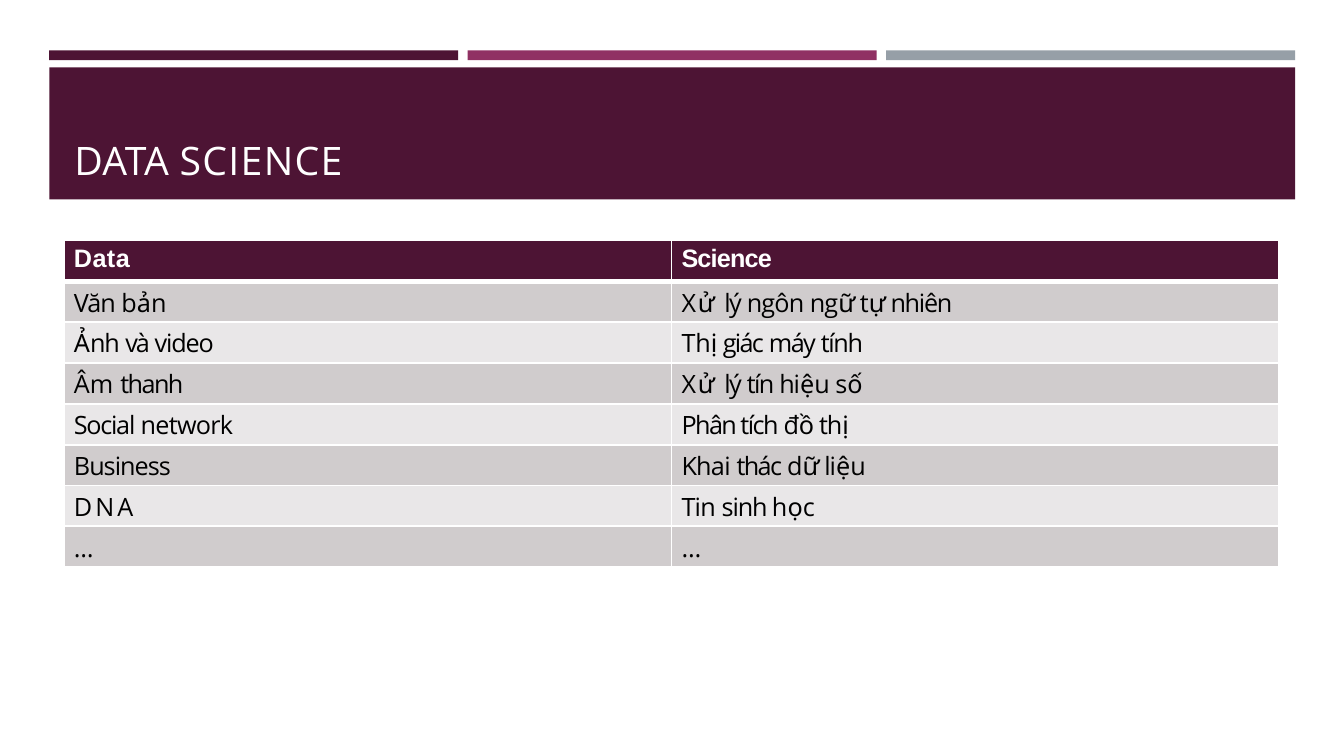
"""Build the Data Science slide: three accent bars, a title band and a two-column table."""
from lxml import etree
from pptx import Presentation
from pptx.dml.color import RGBColor
from pptx.enum import shapes, text
from pptx.oxml import ns
from pptx.util import Pt

PLUM = RGBColor(0x4D, 0x14, 0x34)
MAGENTA = RGBColor(0x90, 0x31, 0x63)
SLATE = RGBColor(0x96, 0x9F, 0xA7)
DARK_ROW = RGBColor(0xD0, 0xCC, 0xCD)
LIGHT_ROW = RGBColor(0xE9, 0xE7, 0xE8)
WHITE = RGBColor(0xFF, 0xFF, 0xFF)
BLACK = RGBColor(0, 0, 0)

CABIN_LETTERS = "ảẢửữựịệốồọ"
TITLE = [("DATA ", 0.2), ("SCIENCE", 1)]
HEADER = ([("Data", 0.3)], [("Science", -0.6)])
ROWS = [
    ([("Văn ", -0.7), ("b", -0.6), ("ả", -0.6), ("n", -0.6)],
     [("X", 1.4), ("ử ", 1.4), ("lý ", -1.2), ("ngôn ", -0.6), ("ng", -0.7),
      ("ữ ", -0.7), ("t", -0.6), ("ự ", -0.6), ("nhiên", -0.9)]),
    ([("Ả", -0.8), ("nh ", -0.8), ("và ", -1.4), ("video", -0.8)],
     [("Th", -0.1), ("ị ", -0.1), ("giác ", -1.2), ("máy ", -1.1), ("tính", -1)]),
    ([("Âm ", 0.1), ("thanh", -1.1)],
     [("X", 1.4), ("ử ", 1.4), ("lý ", -1.2), ("tín ", -1.1), ("hi", -0.8),
      ("ệ", -0.8), ("u ", -0.8), ("s", -0.2), ("ố", -0.2)]),
    ([("Social ", -0.9), ("network", -0.5)],
     [("Phân tích ", -1.1), ("đ", -0.6), ("ồ ", -0.6), ("th", -0.7), ("ị", -0.7)]),
    ([("Business", -0.7)],
     [("Khai ", -0.5), ("thác ", -1.1), ("d", -0.6), ("ữ ", -0.6), ("li", -0.8),
      ("ệ", -0.8), ("u", -0.8)]),
    ([("DNA", 2.2)],
     [("Tin ", -0.5), ("sinh h", -0.8), ("ọ", -0.8), ("c", -0.8)]),
    ([("…", 0)], [("…", 0)]),
]

LEFT, WIDTH, GAP = 35.2, 890, 6.8
BAR_TOP, BAR_HEIGHT = 36, 7
BAND_TOP, BAND_HEIGHT = 48.2, 94.2
TABLE_LEFT, TABLE_TOP, COLUMN_WIDTH, ROW_HEIGHT = 45.6, 171.6, 434, 29.2
THIN, THICK = 1.5, 4.25


def add_block(slide, left, top, width, height, color):
    block = slide.shapes.add_shape(shapes.MSO_SHAPE.RECTANGLE, Pt(left), Pt(top), Pt(width), Pt(height))
    block.shadow.inherit = False
    block.fill.solid()
    block.fill.fore_color.rgb = color
    block.line.fill.background()
    return block


def write(frame, spans, font, size, color, bold=False):
    para = frame.paragraphs[0]
    para.alignment = text.PP_ALIGN.LEFT
    for words, spacing in spans:
        span = para.add_run()
        span.text = words
        name = "Cabin" if words[0] in CABIN_LETTERS else font
        for key, value in {"name": name, "size": Pt(size), "bold": bold}.items():
            setattr(span.font, key, value)
        span.font.color.rgb = color
        span.font._element.set("spc", str(round(spacing * 100)))


def set_borders(cell, widths):
    properties = cell._tc.get_or_add_tcPr()
    for index, (side, width) in enumerate(widths.items()):
        line = etree.Element(ns.qn("a:ln" + side), w=str(Pt(width)))
        fill = etree.SubElement(line, ns.qn("a:solidFill"))
        etree.SubElement(fill, ns.qn("a:srgbClr"), val=str(WHITE))
        properties.insert(index, line)


def add_title(slide):
    band = add_block(slide, LEFT, BAND_TOP, WIDTH, BAND_HEIGHT, PLUM)
    layout = {"margin_left": Pt(18), "margin_top": Pt(49), "margin_right": 0, "margin_bottom": 0,
              "vertical_anchor": text.MSO_ANCHOR.TOP, "word_wrap": True}
    for key, value in layout.items():
        setattr(band.text_frame, key, value)
    write(band.text_frame, TITLE, "Open Sans", 28, WHITE)


def add_subjects(slide):
    rows = [HEADER] + ROWS
    table = slide.shapes.add_table(len(rows), 2, Pt(TABLE_LEFT), Pt(TABLE_TOP),
                                   Pt(2 * COLUMN_WIDTH), Pt(len(rows) * ROW_HEIGHT)).table
    for column in table.columns:
        column.width = Pt(COLUMN_WIDTH)
    margins = {"margin_left": Pt(7.2), "margin_top": Pt(2.9), "margin_right": 0, "margin_bottom": 0}
    for number, row in enumerate(rows):
        table.rows[number].height = Pt(ROW_HEIGHT)
        header = number == 0
        color = PLUM if header else DARK_ROW if number % 2 else LIGHT_ROW
        style = ("Arial", 18, WHITE, True) if header else ("Open Sans", 18, BLACK)
        for cell, spans in zip(table.rows[number].cells, row):
            for key, value in margins.items():
                setattr(cell, key, value)
            cell.fill.solid()
            cell.fill.fore_color.rgb = color
            write(cell.text_frame, spans, *style)
            set_borders(cell, {"L": THIN, "R": THIN, "T": THICK if number == 1 else THIN,
                               "B": THICK if header else THIN})


deck = Presentation()
deck.slide_width, deck.slide_height = Pt(960), Pt(540)
page = deck.slides.add_slide(deck.slide_layouts[6])
bar_width = (WIDTH - 2 * GAP) / 3
for place, bar_color in enumerate((PLUM, MAGENTA, SLATE)):
    add_block(page, LEFT + place * (bar_width + GAP), BAR_TOP, bar_width, BAR_HEIGHT, bar_color)
add_title(page)
add_subjects(page)
deck.save("out.pptx")
